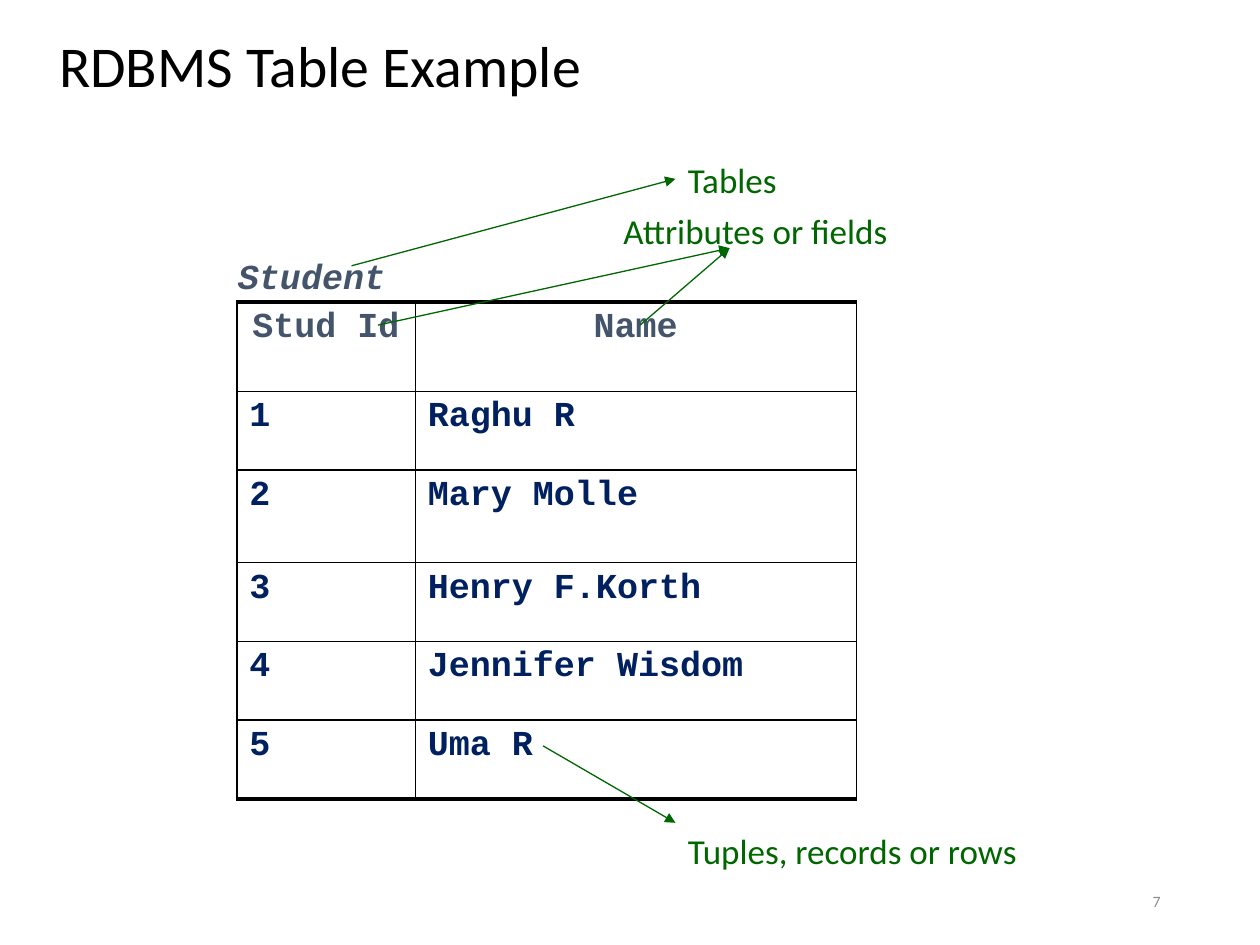
import pptx
import pptx.dml.color
import pptx.enum.shapes
import pptx.enum.text
import pptx.oxml
import pptx.oxml.ns
import pptx.util
from lxml import etree

Pt = pptx.util.Pt
ALIGN = pptx.enum.text.PP_ALIGN
ANCHOR = pptx.enum.text.MSO_ANCHOR

THEME = {
    "title": {"name": "Calibri", "size": 33, "color": "000000", "bold": False},
    "label": {"name": "Calibri", "size": 20, "color": "006600"},
    "relation": {"name": "Courier New", "size": 20, "color": "44546A", "bold": True, "italic": True},
    "header": {"name": "Courier New", "size": 20, "color": "44546A", "bold": True},
    "body": {"name": "Courier New", "size": 20, "color": "002060", "bold": True},
    "number": {"name": "Calibri", "size": 9, "color": "8C8C8C"},
    "arrow": {"color": "006600", "width": 0.75},
    "border": {"color": "000000", "thin": 1, "thick": 2.25},
}


def write_text(text_frame, text, style, alignment=ALIGN.LEFT):
    """Put one paragraph in a text frame and format it with a theme style."""
    text_frame.text = text
    paragraph = text_frame.paragraphs[0]
    paragraph.alignment = alignment
    font = paragraph.runs[0].font
    for name, value in THEME[style].items():
        if name == "color":
            font.color.rgb = pptx.dml.color.RGBColor.from_string(value)
        else:
            setattr(font, name, Pt(value) if name == "size" else value)


def add_border(cell, side, width):
    """Draw one side (L, R, T or B) of a table cell."""
    properties = cell._tc.get_or_add_tcPr()
    line = etree.SubElement(properties, pptx.oxml.ns.qn("a:ln" + side), w=str(Pt(width)))
    fill = etree.SubElement(line, pptx.oxml.ns.qn("a:solidFill"))
    etree.SubElement(fill, pptx.oxml.ns.qn("a:srgbClr"), val=THEME["border"]["color"])


presentation = pptx.Presentation()
presentation.slide_width, presentation.slide_height = Pt(720), Pt(540)
slide = presentation.slides.add_slide(presentation.slide_layouts[5])

# Title
title = slide.shapes.title
title.left, title.top, title.width, title.height = Pt(26.6), Pt(12.2), Pt(612), Pt(54)
write_text(title.text_frame, "RDBMS Table Example", "title")
title.text_frame.vertical_anchor = ANCHOR.MIDDLE
title.text_frame.auto_size = pptx.enum.text.MSO_AUTO_SIZE.NONE
title.text_frame.paragraphs[0].line_spacing = 0.9

# Student table
records = [
    ("Stud Id", "Name"),
    ("1", "Raghu R"),
    ("2", "Mary Molle"),
    ("3", "Henry F.Korth"),
    ("4", "Jennifer Wisdom"),
    ("5", "Uma R"),
]
column_widths = [102, 252]
row_heights = [51, 45, 53, 45, 45, 45]
table = slide.shapes.add_table(
    len(records), len(column_widths), Pt(135.3), Pt(172.6),
    Pt(sum(column_widths)), Pt(sum(row_heights)),
).table
table.first_row = table.horz_banding = False
for column, width in zip(table.columns, column_widths):
    column.width = Pt(width)
thin, thick = THEME["border"]["thin"], THEME["border"]["thick"]
for row_index, record in enumerate(records):
    table.rows[row_index].height = Pt(row_heights[row_index])
    is_header = row_index == 0
    is_last = row_index == len(records) - 1
    for column_index, text in enumerate(record):
        cell = table.cell(row_index, column_index)
        write_text(cell.text_frame, text, "header" if is_header else "body",
                   ALIGN.CENTER if is_header else ALIGN.LEFT)
        add_border(cell, "L", thin)
        add_border(cell, "R", thin)
        add_border(cell, "T", thick if is_header else thin)
        add_border(cell, "B", thick if is_last else thin)
        cell.fill.background()

# Labels: text, style, left, top, width
labels = [
    ("Tables", "label", 386, 87.1, 72.7),
    ("Attributes or fields", "label", 349.2, 116, 175.7),
    ("Student", "relation", 128.9, 141.8, 99.4),
    ("Tuples, records or rows", "label", 386, 470.2, 224.6),
]
for text, style, left, top, width in labels:
    box = slide.shapes.add_textbox(Pt(left), Pt(top), Pt(width), Pt(31.5))
    box.text_frame.word_wrap = False
    box.text_frame.auto_size = pptx.enum.text.MSO_AUTO_SIZE.SHAPE_TO_FIT_TEXT
    write_text(box.text_frame, text, style)

# Slide number
number_box = slide.shapes.add_textbox(Pt(508.3), Pt(500.4), Pt(162), Pt(28.8))
number_box.text_frame.word_wrap = True
number_box.text_frame.vertical_anchor = ANCHOR.MIDDLE
write_text(number_box.text_frame, "7", "number", ALIGN.RIGHT)

# Arrows from the table parts to their labels
fields_tip = (416.9, 141.8)
arrows = [
    ((200.9, 151.9), (386, 102.2)),
    ((216, 185.8), fields_tip),
    ((365.8, 185.8), fields_tip),
    ((310.3, 426.2), (386, 470.2)),
]
for start, end in arrows:
    arrow = slide.shapes.add_connector(
        pptx.enum.shapes.MSO_CONNECTOR.STRAIGHT, *(Pt(value) for value in start + end))
    arrow.line.color.rgb = pptx.dml.color.RGBColor.from_string(THEME["arrow"]["color"])
    arrow.line.width = Pt(THEME["arrow"]["width"])
    etree.SubElement(arrow.line._get_or_add_ln(), pptx.oxml.ns.qn("a:tailEnd"), type="triangle")
    etree.SubElement(arrow._element.spPr, pptx.oxml.ns.qn("a:effectLst"))

presentation.save("out.pptx")
